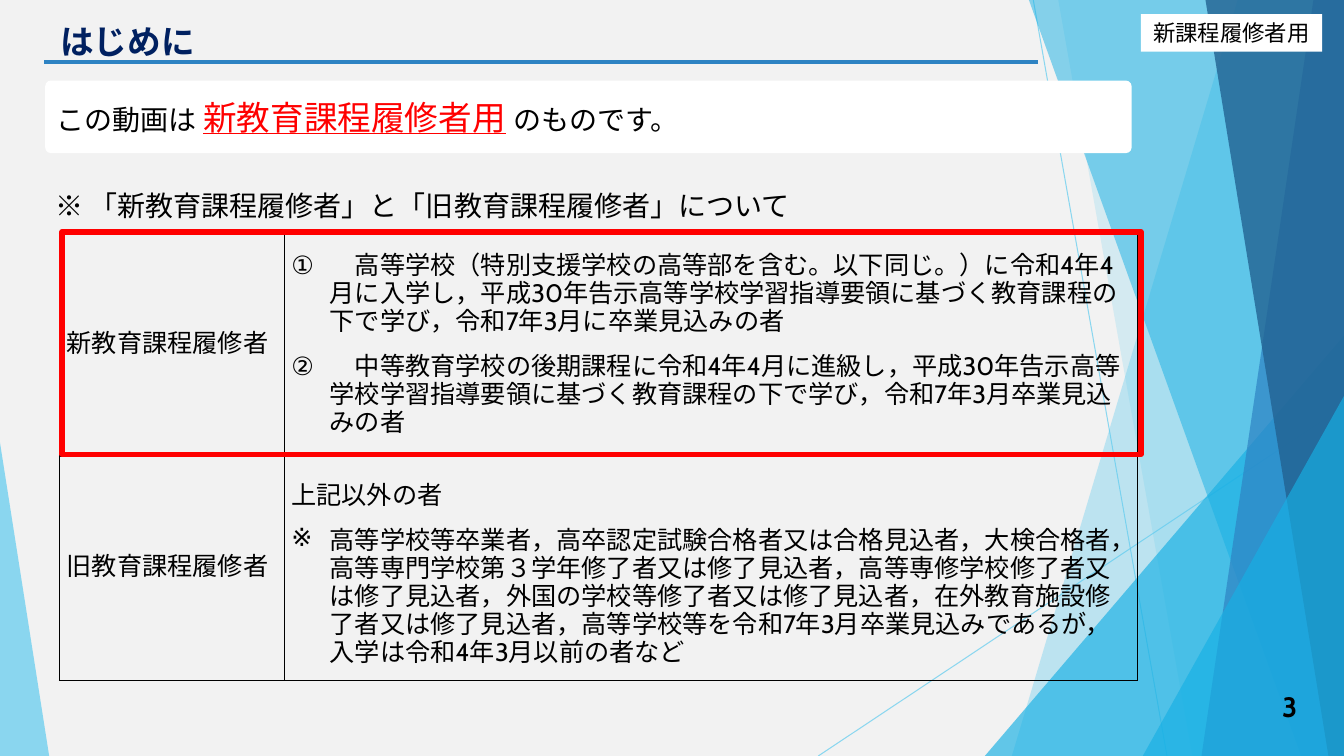
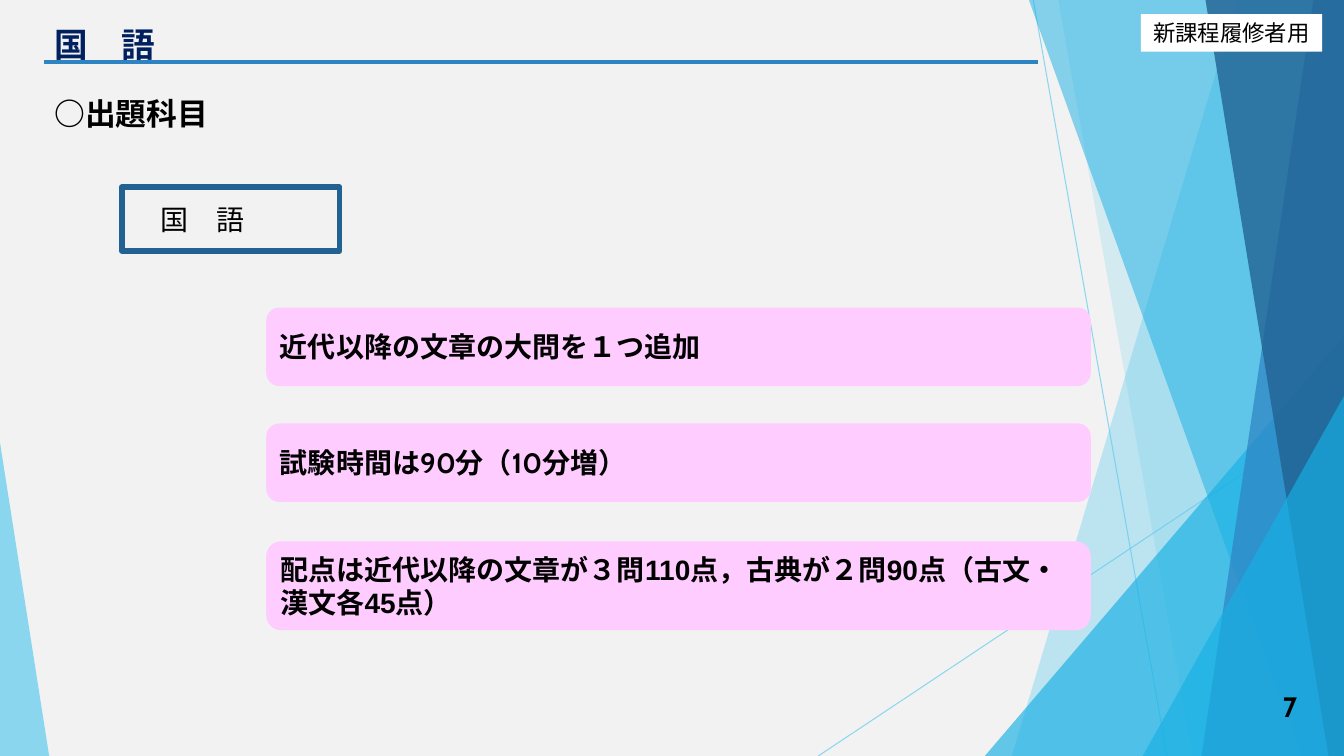
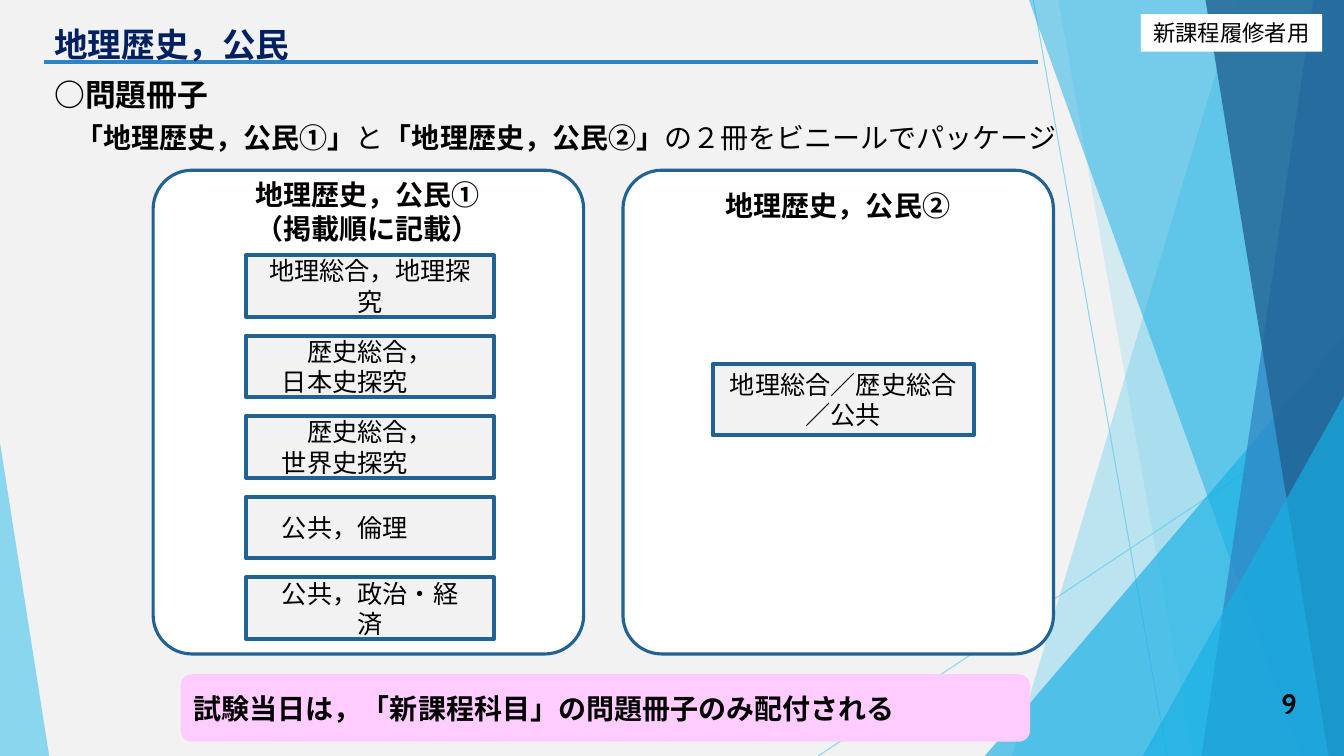
"""Build three slides explaining an examination for new-curriculum students."""
import dataclasses
import typing

import lxml.etree
import pptx
import pptx.dml.color
import pptx.enum.dml
import pptx.enum.lang
import pptx.enum.shapes
import pptx.enum.text
import pptx.oxml.ns
import pptx.util

Cm = pptx.util.Cm
Pt = pptx.util.Pt
qn = pptx.oxml.ns.qn
Shapes = pptx.enum.shapes.MSO_SHAPE
Align = pptx.enum.text.PP_ALIGN
Anchor = pptx.enum.text.MSO_ANCHOR

COLORS = {
    "page": "F2F2F2",
    "white": "FFFFFF",
    "black": "000000",
    "red": "FF0000",
    "title": "002060",
    "pink": "FFCCFF",
    "sky": "5FCBEF",
    "cyan": "17B0E4",
    "blue": "2E83C3",
    "navy": "226292",
}
FONT = "Cabin"
WIDTH, HEIGHT = 33.87, 19.05
HANG = 0.97


class Area(typing.NamedTuple):
    left: float
    top: float
    width: float
    height: float


@dataclasses.dataclass
class Span:
    text: str
    size: float = 20
    bold: bool = False
    color: str = "black"
    underline: bool = False
    font: str = FONT


@dataclasses.dataclass
class Para:
    spans: list[Span]
    align: Align = Align.LEFT
    line: float | None = None
    before: float = 0
    after: float = 0
    bullet: tuple[str, str, str] | None = None
    left: float = 0


@dataclasses.dataclass
class Band:
    top_left: float
    bottom_left: float
    color: str
    alpha: int


@dataclasses.dataclass
class Wedge:
    area: Area
    peak: float
    color: str
    alpha: int


@dataclasses.dataclass
class Choice:
    lines: list[str]
    left_inset: float = 0.25
    right_inset: float = 0.25
    first_indent: float = 0


BACKDROP = [
    Band(31.19, 25.5, "sky", 36),
    Band(26.67, 30.05, "sky", 20),
    Wedge(Area(24.82, 8.46, 9.05, 10.59), 1, "cyan", 66),
    Band(25.93, 32.79, "cyan", 50),
    Band(33.1, 30.28, "blue", 70),
    Band(30.38, 33.48, "navy", 80),
    Wedge(Area(28.8, 9.98, 5.07, 9.07), 1, "cyan", 66),
    Wedge(Area(0, 11.15, 1.24, 7.9), 0, "sky", 70),
]
RAYS = [(26.04, 0, 29.41, HEIGHT), (WIDTH, 10.24, 20.62, HEIGHT)]


def rgb(name: str) -> pptx.dml.color.RGBColor:
    return pptx.dml.color.RGBColor.from_string(COLORS[name])


def bold(text: str, size: float = 20, font: str = FONT) -> Span:
    return Span(text, size, True, font=font)


def set_alpha(shape, percent: int) -> None:
    color = shape._element.spPr.find(".//" + qn("a:srgbClr"))
    lxml.etree.SubElement(color, qn("a:alpha"), val=str(percent * 1000))


def write(frame, paras: list[Para]) -> None:
    frame.word_wrap = True
    for index, item in enumerate(paras):
        para = frame.paragraphs[0] if index == 0 else frame.add_paragraph()
        props = para._p.get_or_add_pPr()
        if item.left:
            props.set("marL", str(Cm(item.left)))
        if item.bullet:
            tag, key, value = item.bullet
            props.set("indent", str(-Cm(item.left)))
            lxml.etree.SubElement(props, qn(tag)).set(key, value)
        para.alignment = item.align
        para.space_before = Pt(item.before)
        para.space_after = Pt(item.after)
        if item.line:
            para.line_spacing = Pt(item.line)
        for span in item.spans:
            run = para.add_run()
            run.text = span.text
            run.font.name = span.font
            run.font.size = Pt(span.size)
            run.font.bold = span.bold
            run.font.underline = span.underline
            run.font.color.rgb = rgb(span.color)
            run.font.language_id = pptx.enum.lang.MSO_LANGUAGE_ID.JAPANESE
            lxml.etree.SubElement(run.font._element, qn("a:ea"), typeface=FONT)


def add_text(page, area: Area, paras: list[Para], anchor: Anchor = Anchor.TOP) -> None:
    box = page.shapes.add_textbox(*map(Cm, area))
    box.text_frame.vertical_anchor = anchor
    write(box.text_frame, paras)


def style(shape, fill: str | None, line: str | None = None, width: float = 0) -> None:
    shape.shadow.inherit = False
    if fill:
        shape.fill.solid()
        shape.fill.fore_color.rgb = rgb(fill)
    else:
        shape.fill.background()
    if line:
        shape.line.color.rgb = rgb(line)
        shape.line.width = Pt(width)
    else:
        shape.line.fill.background()


def add_box(page, kind: Shapes, area: Area, fill: str | None, paras: list[Para] | None = None,
            line: str | None = None, width: float = 0, corner: float | None = None):
    box = page.shapes.add_shape(kind, *map(Cm, area))
    style(box, fill, line, width)
    if corner is not None:
        box.adjustments[0] = corner
    if paras:
        box.text_frame.vertical_anchor = Anchor.MIDDLE
        write(box.text_frame, paras)
    return box


def add_line(page, ends: tuple[float, float, float, float], color: str, width: float):
    line = page.shapes.add_connector(pptx.enum.shapes.MSO_CONNECTOR.STRAIGHT, *map(Cm, ends))
    line.line.color.rgb = rgb(color)
    line.line.width = Pt(width)
    lxml.etree.SubElement(line._element.spPr, qn("a:effectLst"))
    return line


def add_backdrop(page) -> None:
    for ray in RAYS:
        set_alpha(add_line(page, ray, "sky", 0.75), 70)
    for item in BACKDROP:
        if isinstance(item, Band):
            builder = page.shapes.build_freeform(Cm(item.top_left), 0)
            corners = [(WIDTH, 0), (WIDTH, HEIGHT), (item.bottom_left, HEIGHT)]
            builder.add_line_segments([(Cm(x), Cm(y)) for x, y in corners])
            shape = builder.convert_to_shape()
            style(shape, item.color)
        else:
            shape = add_box(page, Shapes.ISOSCELES_TRIANGLE, item.area, item.color, corner=item.peak)
        set_alpha(shape, item.alpha)


def start_page(deck, title: str, number: str, left: float = 1.12, top: float = 0.47,
               number_top: float = 17.3):
    page = deck.slides.add_slide(deck.slide_layouts[6])
    page.background.fill.solid()
    page.background.fill.fore_color.rgb = rgb("page")
    add_backdrop(page)
    add_line(page, (1.12, 1.57, 26.16, 1.57), "blue", 3)
    add_box(page, Shapes.RECTANGLE, Area(28.75, 0.36, 4.57, 0.94), "white",
            [Para([Span("新課程履修者用", 16)], Align.CENTER)])
    add_text(page, Area(left, top, 23.88, 1.3), [Para([Span(title, 24, True, "title")])])
    add_text(page, Area(31.04, number_top, 1.9, 1.02),
             [Para([bold(number)], Align.RIGHT)], Anchor.MIDDLE)
    return page


def add_banner(page, area: Area, spans: list[Span]) -> None:
    add_box(page, Shapes.ROUNDED_RECTANGLE, area, "pink", [Para(spans)])


def add_choice(page, area: Area, choice: Choice, size: float = 18, width: float = 3) -> None:
    paras = [Para([Span(text, size)], Align.CENTER) for text in choice.lines]
    paras[0].left = choice.first_indent
    box = add_box(page, Shapes.RECTANGLE, area, "page", paras, "navy", width)
    box.text_frame.margin_left = Cm(choice.left_inset)
    box.text_frame.margin_right = Cm(choice.right_inset)


def add_borders(cell) -> None:
    props = cell._tc.get_or_add_tcPr()
    for side in ("a:lnL", "a:lnR", "a:lnT", "a:lnB"):
        line = lxml.etree.SubElement(props, qn(side), w=str(Pt(1)))
        fill = lxml.etree.SubElement(line, qn("a:solidFill"))
        lxml.etree.SubElement(fill, qn("a:srgbClr"), val=COLORS["black"])


def add_definitions(page) -> None:
    circled = ("a:buAutoNum", "type", "circleNumDbPlain")
    mark = ("a:buChar", "char", "※")

    def body(text: str, **options) -> Para:
        return Para([Span(text, 18)], line=20, **options)

    rows = [
        [[body("新教育課程履修者", align=Align.JUSTIFY)],
         [body("　高等学校（特別支援学校の高等部を含む。以下同じ。）に令和4年4月に入学し，平成30年告示高等学校学習指導要領に"
               "基づく教育課程の下で学び，令和7年3月に卒業見込みの者", bullet=circled, left=HANG),
          body("　中等教育学校の後期課程に令和4年4月に進級し，平成30年告示高等学校学習指導要領に基づく教育課程の下で学び，"
               "令和7年3月卒業見込みの者", bullet=circled, left=HANG, before=12)]],
        [[body("旧教育課程履修者", align=Align.JUSTIFY)],
         [body("上記以外の者"),
          body("高等学校等卒業者，高卒認定試験合格者又は合格見込者，大検合格者，高等専門学校第３学年修了者又は修了見込者，"
               "高等専修学校修了者又は修了見込者，外国の学校等修了者又は修了見込者，在外教育施設修了者又は修了見込者，"
               "高等学校等を令和7年3月卒業見込みであるが，入学は令和4年3月以前の者など",
               bullet=mark, left=HANG, before=12, after=12)]],
    ]
    table = page.shapes.add_table(2, 2, *map(Cm, Area(1.5, 5.89, 27.17, 11.25))).table
    table.first_row = table.horz_banding = False
    for column, width in zip(table.columns, (5.66, 21.51)):
        column.width = Cm(width)
    for row, height in zip(table.rows, (5.61, 5.64)):
        row.height = Cm(height)
    for row, contents in zip(table.rows, rows):
        for cell, paras in zip(row.cells, contents):
            add_borders(cell)
            cell.fill.background()
            cell.vertical_anchor = Anchor.MIDDLE
            cell.margin_left = cell.margin_right = Cm(0.18)
            cell.margin_top = cell.margin_bottom = 0
            write(cell.text_frame, paras)
    table.cell(1, 1).margin_top = Cm(0.35)


def build_introduction(deck) -> None:
    page = start_page(deck, "はじめに", "3", 1.27, 0.41)
    add_box(page, Shapes.ROUNDED_RECTANGLE, Area(1.14, 2.03, 27.38, 1.83), "white",
            [Para([Span("この動画は "), Span("新教育課程履修者用", 24, color="red", underline=True),
                   Span(" ", 24), Span("のものです。")])], corner=0.08)
    add_definitions(page)
    add_text(page, Area(1.14, 4.62, 27.18, 1.12),
             [Para([Span("※ 「新教育課程履修者」と「旧教育課程履修者」について")])])
    add_box(page, Shapes.RECTANGLE, Area(1.57, 5.84, 27.18, 5.61), None, line="red", width=4)


def build_japanese(deck) -> None:
    page = start_page(deck, "国　語", "7")
    add_text(page, Area(1.12, 2.26, 5.05, 1.19), [Para([bold("○出題科目", 22)])])
    add_choice(page, Area(3.07, 4.72, 5.49, 1.6), Choice(["国　語"], right_inset=1.66), 20, 4)
    banners = [
        (7.75, 1.98, [bold("近代以降の文章の大問を１つ追加")]),
        (10.67, 1.98, [bold("試験時間は90分（10分増）")]),
        (13.64, 2.24, [bold("配点は近代以降の文章が３問"),
                       bold("110点，古典が２問90点（古文・漢文各45点）", font="Arial")]),
    ]
    for top, height, spans in banners:
        add_banner(page, Area(6.71, top, 20.78, height), spans)


def build_social_studies(deck) -> None:
    page = start_page(deck, "地理歴史，公民", "9", number_top=17.2)
    add_text(page, Area(1.12, 1.78, 11.25, 1.19), [Para([bold("○問題冊子", 22)])])
    add_text(page, Area(1.65, 2.9, 26.26, 1.12),
             [Para([bold("「地理歴史，公民①」"), Span("と"), bold("「地理歴史，公民②」"),
                    Span("の２冊をビニールでパッケージ")])])
    booklets = [
        (3.86, Area(5.44, 4.67, 7.65, 1.32), ["地理歴史，公民①", "（掲載順に記載）"]),
        (15.7, Area(17.78, 4.14, 6.68, 2.06), ["地理歴史，公民②"]),
    ]
    for left, heading, lines in booklets:
        add_box(page, Shapes.ROUNDED_RECTANGLE, Area(left, 4.29, 10.85, 12.19), "white",
                line="navy", width=2.25, corner=0.09)
        add_text(page, heading, [Para([bold(text)], Align.CENTER) for text in lines], Anchor.MIDDLE)
    choices = [
        Choice(["地理総合，地理探究"], 0.35, 0.35),
        Choice(["歴史総合，", "日本史探究"], 0, 1.27, 1.27),
        Choice(["歴史総合，", "世界史探究"], 0, 1.27, 1.27),
        Choice(["公共，倫理"], 0, 1.27),
        Choice(["公共，政治・経済"], 0.7, 0.7),
    ]
    for index, choice in enumerate(choices):
        add_choice(page, Area(6.2, 6.43 + 2.03 * index, 6.25, 1.55), choice)
    add_choice(page, Area(17.96, 9.17, 6.58, 1.8), Choice(["地理総合／歴史総合／公共"]))
    add_banner(page, Area(4.55, 16.99, 21.41, 1.7),
               [bold("試験当日は，「新課程科目」の問題冊子のみ配付される")])


def main() -> None:
    deck = pptx.Presentation()
    deck.slide_width, deck.slide_height = Cm(WIDTH), Cm(HEIGHT)
    build_introduction(deck)
    build_japanese(deck)
    build_social_studies(deck)
    deck.save("out.pptx")


if __name__ == "__main__":
    main()
